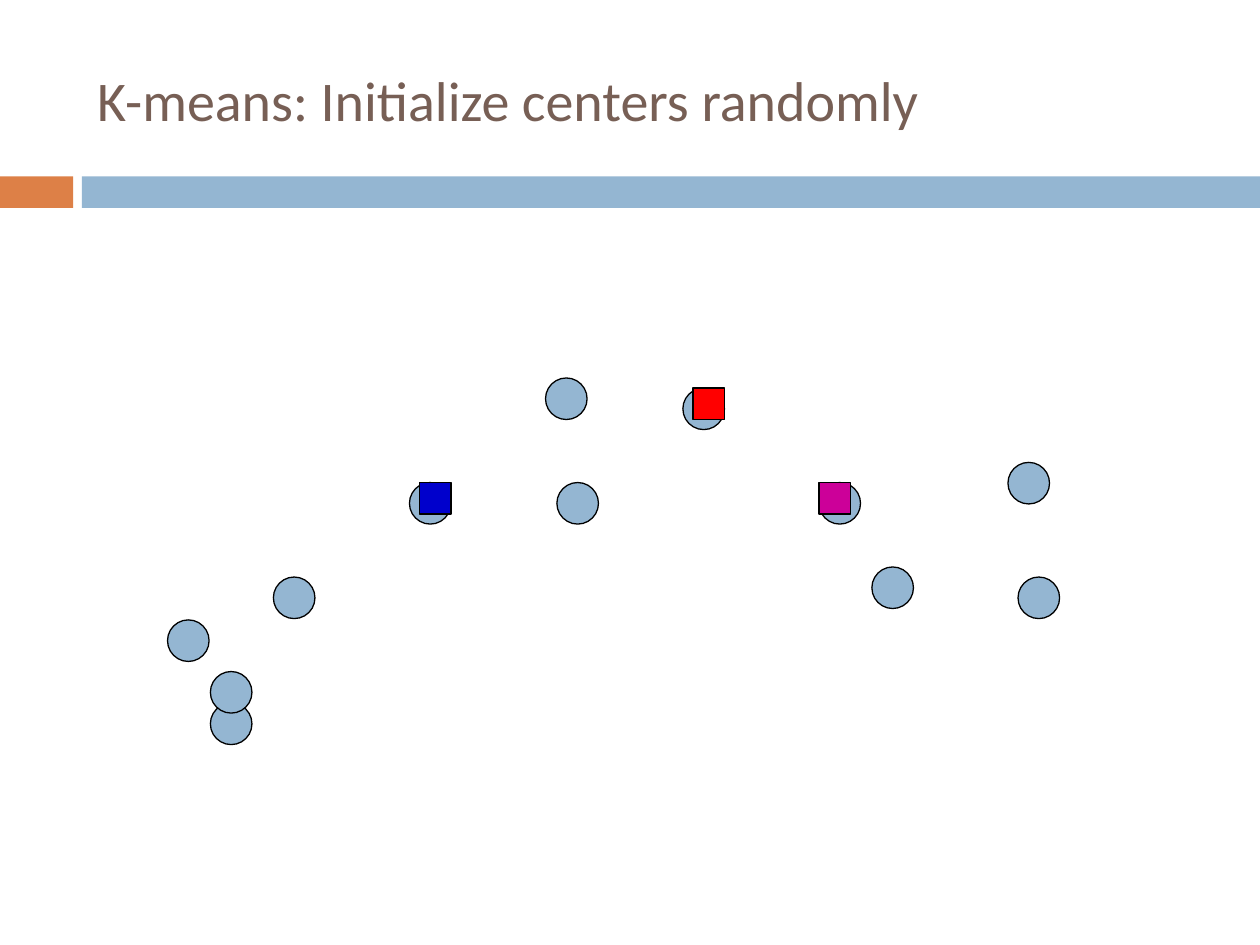
from pptx import Presentation
from pptx.dml.color import RGBColor
from pptx.enum.shapes import MSO_SHAPE as Shape
from pptx.enum.text import MSO_ANCHOR as Anchor, PP_ALIGN as Align
from pptx.util import Inches, Pt

BLUE = "94B6D2"
ORANGE = "DD8047"
BROWN = "775F55"
BLACK = "000000"
POINT_SIZE = 0.33
CENTER_SIZE = 0.25

POINTS = [
    (1.67, 5.58), (1.33, 4.92), (2.17, 4.58), (8, 3.67),
    (4.33, 3), (5.42, 3.08), (4.42, 3.83), (3.25, 3.83),
    (8.08, 4.58), (6.5, 3.83), (1.67, 5.33), (6.92, 4.5),
]
CENTERS = [(3.33, 3.83, "0000CC"), (5.5, 3.08, "FF0000"), (6.5, 3.83, "CC0099")]


def color(hex_value):
    return RGBColor.from_string(hex_value)


class SlideBuilder:
    """Holds the text style and the current slide."""

    def __init__(self, slide, font="Calibri"):
        self.slide = slide
        self.font = font

    def title(self, wording, left, top, width, height):
        heading = self.slide.shapes.title
        heading.left, heading.top = Inches(left), Inches(top)
        heading.width, heading.height = Inches(width), Inches(height)
        frame = heading.text_frame
        frame.text = wording
        frame.word_wrap = True
        frame.vertical_anchor = Anchor.MIDDLE
        paragraph = frame.paragraphs[0]
        paragraph.alignment = Align.LEFT
        font = paragraph.runs[0].font
        font.name, font.size = self.font, Pt(32)
        font.color.rgb = color(BROWN)

    def figure(self, kind, left, top, width, height, fill, outline=None):
        figure = self.slide.shapes.add_shape(
            kind, Inches(left), Inches(top), Inches(width), Inches(height))
        figure.shadow.inherit = False
        figure.fill.solid()
        figure.fill.fore_color.rgb = color(fill)
        if outline:
            figure.line.color.rgb = color(outline)
            figure.line.width = Pt(0.75)
        else:
            figure.line.fill.background()

    def bar(self, left, width, fill):
        self.figure(Shape.RECTANGLE, left, 1.4, width, 0.25, fill)

    def point(self, left, top):
        self.figure(Shape.OVAL, left, top, POINT_SIZE, POINT_SIZE, BLUE, BLACK)

    def center(self, left, top, fill):
        self.figure(Shape.RECTANGLE, left, top, CENTER_SIZE, CENTER_SIZE, fill, BLACK)


def main():
    deck = Presentation()
    deck.slide_width, deck.slide_height = Inches(10), Inches(7.5)
    builder = SlideBuilder(deck.slides.add_slide(deck.slide_layouts[5]))
    builder.bar(0, 0.58, ORANGE)
    builder.bar(0.65, 9.35, BLUE)
    builder.title("K-means: Initialize centers randomly", 0.67, 0.25, 8.92, 1.08)
    for point in POINTS:
        builder.point(*point)
    for center in CENTERS:
        builder.center(*center)
    deck.save("out.pptx")


if __name__ == "__main__":
    main()
